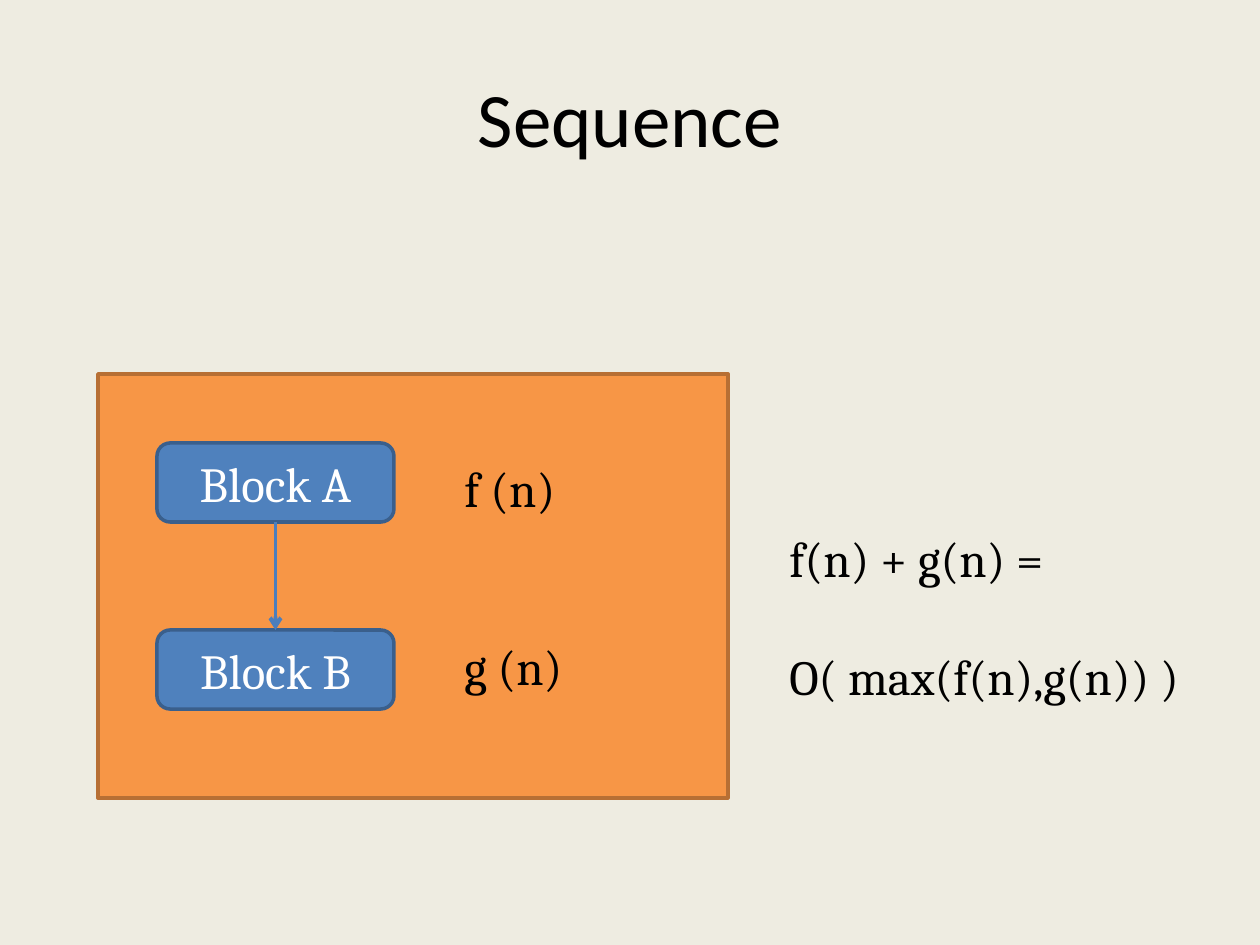
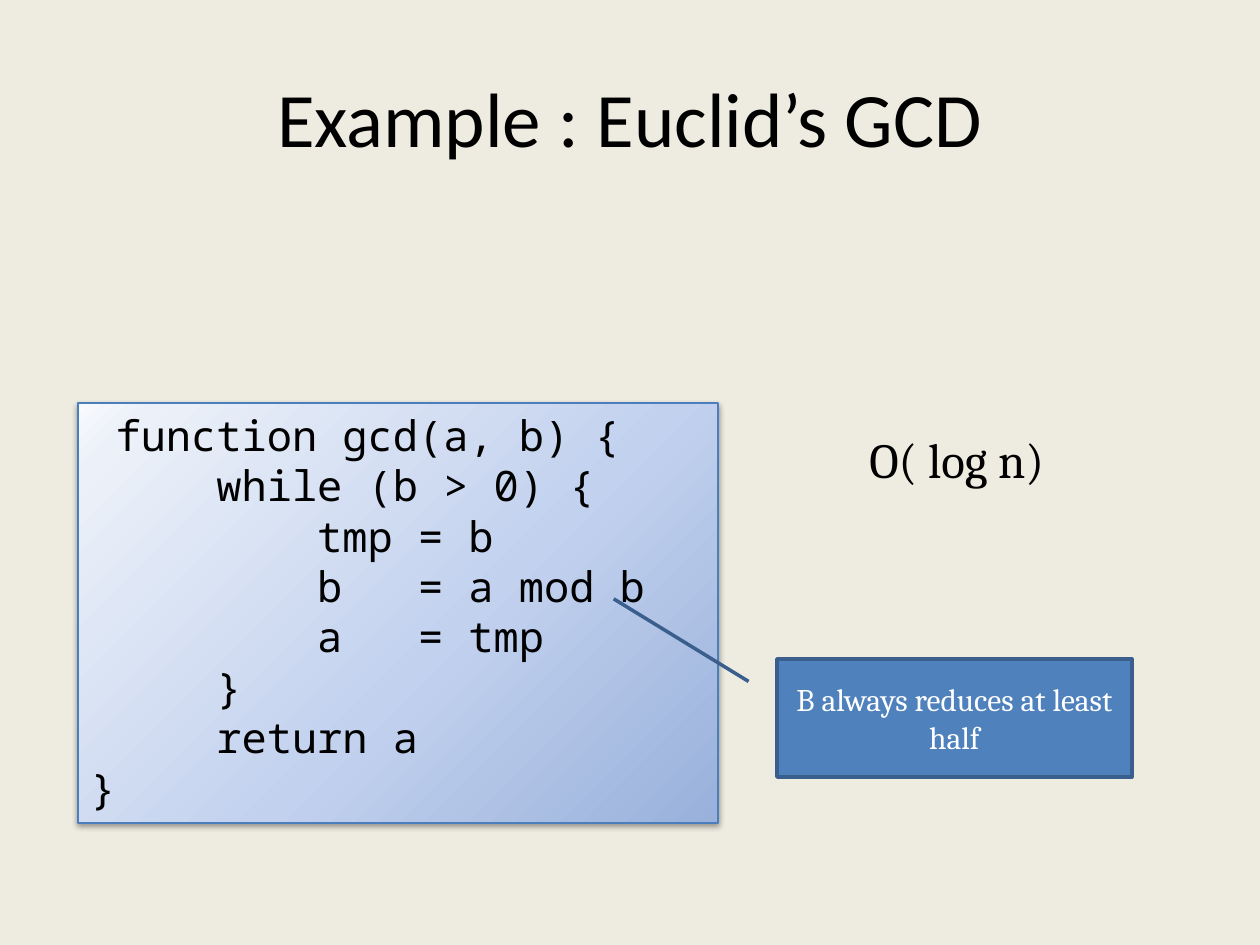
from pptx import Presentation
from pptx.dml.color import RGBColor
from pptx.enum.shapes import MSO_CONNECTOR, MSO_SHAPE
from pptx.enum.text import MSO_ANCHOR, MSO_AUTO_SIZE, PP_ALIGN
from pptx.oxml import parse_xml
from pptx.oxml.ns import nsdecls, qn
from pptx.util import Emu, Pt

RECTANGLE = MSO_SHAPE.RECTANGLE
ROUNDED = MSO_SHAPE.ROUNDED_RECTANGLE
CALLOUT = MSO_SHAPE.LINE_CALLOUT_1
STRAIGHT = MSO_CONNECTOR.STRAIGHT
TOP, MIDDLE = MSO_ANCHOR.TOP, MSO_ANCHOR.MIDDLE
LEFT, CENTER = PP_ALIGN.LEFT, PP_ALIGN.CENTER
FIT_SHAPE = MSO_AUTO_SIZE.SHAPE_TO_FIT_TEXT
BOTTOM_SITE, TOP_SITE = 2, 0

BLACK = RGBColor(0x00, 0x00, 0x00)
WHITE = RGBColor(0xFF, 0xFF, 0xFF)
CREAM = RGBColor(0xEE, 0xEC, 0xE1)
ORANGE = RGBColor(0xF7, 0x96, 0x46)
DARK_ORANGE = RGBColor(0xB7, 0x6F, 0x34)
BLUE = RGBColor(0x4F, 0x81, 0xBD)
DARK_BLUE = RGBColor(0x3A, 0x5F, 0x8C)
EDGE_BLUE = RGBColor(0x4B, 0x7E, 0xBC)
CODE_STOPS = [
    (0, RGBColor(0x99, 0xB1, 0xDB)),
    (43, RGBColor(0xC2, 0xD1, 0xEE)),
    (93, RGBColor(0xEC, 0xF1, 0xF9)),
    (100, RGBColor(0xF8, 0xFA, 0xFE)),
]

TITLE_FONT, BODY_FONT, CODE_FONT = "Calibri", "Cambria", "Noto Sans Mono"
PX_PER_INCH = 126

GCD_CODE = [
    " function gcd(a, b) {",
    "     while (b > 0) {",
    "         tmp = b",
    "         b   = a mod b",
    "         a   = tmp",
    "     }",
    "     return a",
    "}",
]


def px(*lengths):
    return [Emu(round(length * 914400 / PX_PER_INCH)) for length in lengths]


def write(box, lines, size, font=BODY_FONT, color=BLACK, align=LEFT, anchor=TOP, gap=0):
    frame = box.text_frame
    frame.word_wrap = True
    frame.vertical_anchor = anchor
    for index, line in enumerate(lines):
        para = frame.add_paragraph() if index else frame.paragraphs[0]
        para.alignment = align
        if index and gap:
            para.space_before = Pt(gap)
        span = para.add_run()
        span.text = line
        span.font.size = Pt(size)
        span.font.name = font
        span.font.color.rgb = color


def add_page(deck, title):
    page = deck.slides.add_slide(deck.slide_layouts[6])
    page.background.fill.solid()
    page.background.fill.fore_color.rgb = CREAM
    return page, title


def add_title(page, title):
    box = page.shapes.add_textbox(*px(63, 38, 1134, 157))
    write(box, [title], 44, TITLE_FONT, align=CENTER, anchor=MIDDLE)


def add_label(page, place, lines, gap=0):
    box = page.shapes.add_textbox(*px(*place))
    write(box, lines, 28, gap=gap)
    box.text_frame.auto_size = FIT_SHAPE


def add_panel(page, kind, place, fill, edge, edge_width=2):
    panel = page.shapes.add_shape(kind, *px(*place))
    panel.shadow.inherit = False
    if fill:
        panel.fill.solid()
        panel.fill.fore_color.rgb = fill
    panel.line.color.rgb = edge
    panel.line.width = Pt(edge_width)
    return panel


def add_blue_box(page, kind, place, text, size):
    box = add_panel(page, kind, place, BLUE, DARK_BLUE)
    write(box, [text], size, color=WHITE, align=CENTER, anchor=MIDDLE)
    return box


def add_arrow(page, source, target):
    arrow = page.shapes.add_connector(STRAIGHT, 0, 0, 0, 0)
    arrow.begin_connect(source, BOTTOM_SITE)
    arrow.end_connect(target, TOP_SITE)
    arrow.line.color.rgb = EDGE_BLUE
    arrow.line.width = Pt(2.25)
    arrow.line._get_or_add_ln().append(
        parse_xml(f'<a:tailEnd {nsdecls("a")} type="arrow"/>'))
    arrow._element.spPr.append(parse_xml(f'<a:effectLst {nsdecls("a")}/>'))


def set_gradient(shape, stops, angle):
    shape.fill.gradient()
    shape.fill.gradient_angle = angle
    stop_list = shape._element.spPr.find(qn("a:gradFill")).find(qn("a:gsLst"))
    for stop in list(stop_list):
        stop_list.remove(stop)
    for percent, color in stops:
        stop_list.append(parse_xml(
            f'<a:gs {nsdecls("a")} pos="{percent * 1000}">'
            f'<a:srgbClr val="{color}"/></a:gs>'))


def set_drop_shadow(shape):
    effects = shape._element.spPr.find(qn("a:effectLst"))
    effects.append(parse_xml(
        f'<a:outerShdw {nsdecls("a")} blurRad="40000" dist="20000" dir="5400000" '
        f'rotWithShape="0"><a:srgbClr val="{BLACK}"><a:alpha val="38000"/>'
        '</a:srgbClr></a:outerShdw>'))


def add_code(page, place, lines):
    panel = add_panel(page, RECTANGLE, place, None, EDGE_BLUE, 0.75)
    set_gradient(panel, CODE_STOPS, 135)
    set_drop_shadow(panel)
    write(panel, lines, 24, CODE_FONT)
    panel.text_frame.auto_size = FIT_SHAPE


def add_callout(page, place, text, pointer):
    callout = add_blue_box(page, CALLOUT, place, text, 18)
    for index, value in enumerate(pointer):
        callout.adjustments[index] = value


def build_sequence(deck):
    page, title = add_page(deck, "Sequence")
    add_panel(page, RECTANGLE, (98, 374, 630, 424), ORANGE, DARK_ORANGE)
    add_title(page, title)
    block_a, block_b = [
        add_blue_box(page, ROUNDED, (157, top, 237, 79), text, 28)
        for top, text in ((443, "Block A"), (630, "Block B"))]
    add_arrow(page, block_a, block_b)
    for top, cost in ((452, "f (n)"), (630, "g (n)")):
        add_label(page, (452, top, 197, 72), [cost])
    add_label(page, (777, 522, 434, 190), ["f(n) + g(n) =", "O( max(f(n),g(n)) )"], gap=34)


def build_gcd(deck):
    page, title = add_page(deck, "Example : Euclid’s GCD")
    add_title(page, title)
    add_code(page, (78, 403, 640, 420), GCD_CODE)
    add_callout(page, (777, 659, 355, 118), "B always reduces at least half",
                (0.19, -0.08, -0.51, -0.46))
    add_label(page, (857, 423, 246, 72), ["O( log n)"])


def main():
    deck = Presentation()
    deck.slide_width, deck.slide_height = px(1260, 945)
    build_sequence(deck)
    build_gcd(deck)
    deck.save("out.pptx")


if __name__ == "__main__":
    main()
